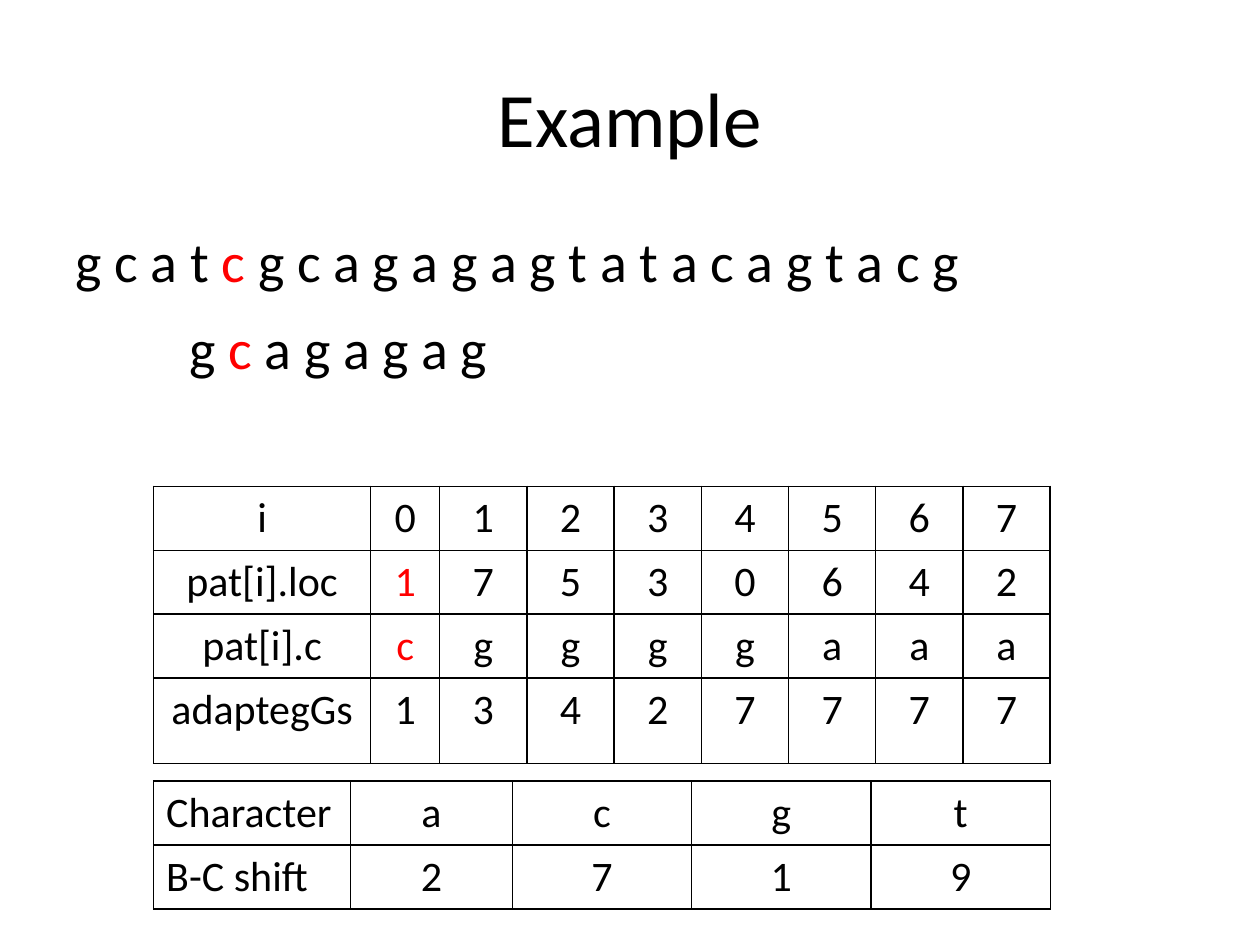
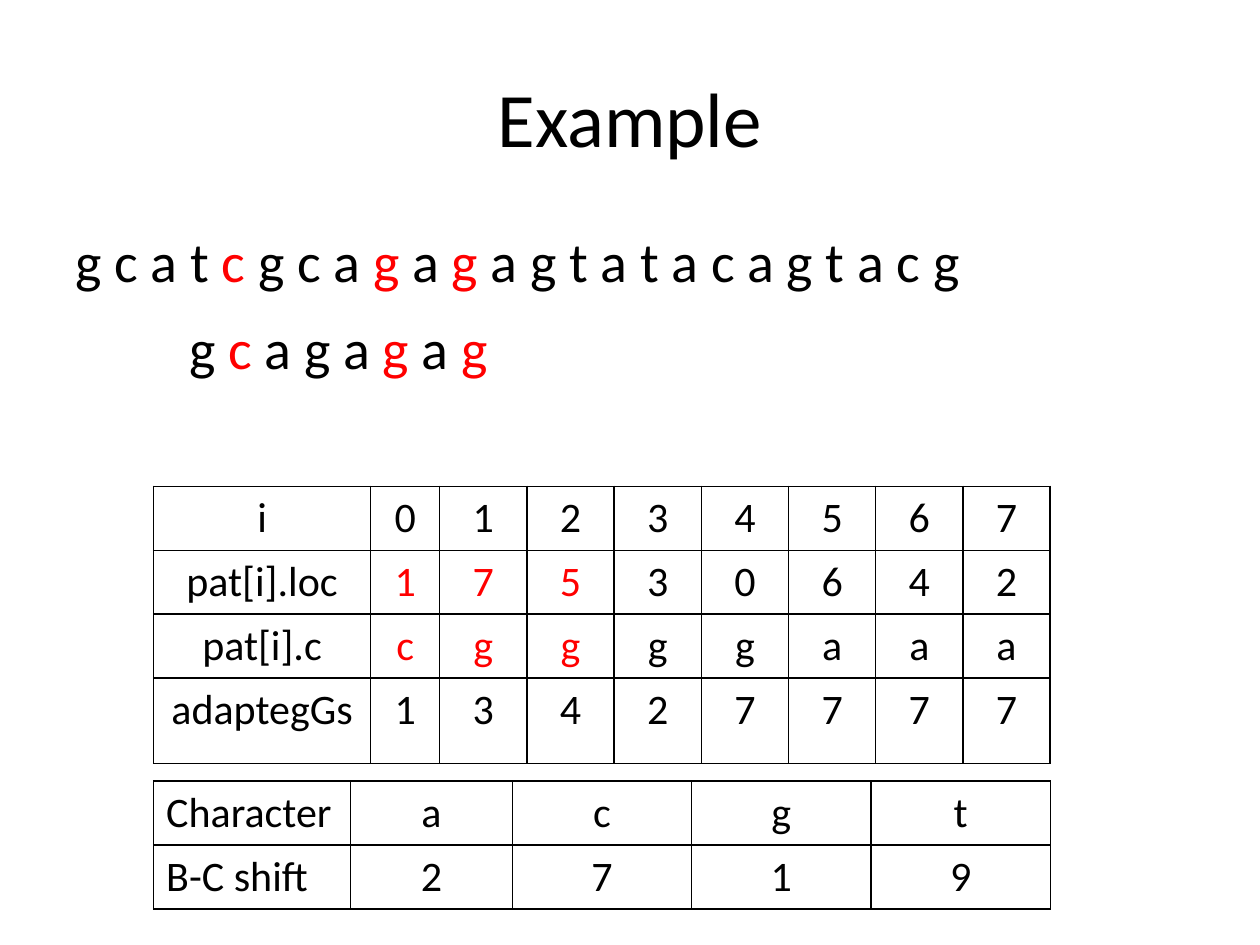
from itertools import groupby

from pptx import Presentation
from pptx.dml.color import RGBColor
from pptx.enum.text import MSO_ANCHOR as Anchor, PP_ALIGN as Align
from pptx.oxml import parse_xml
from pptx.oxml.ns import nsdecls
from pptx.util import Pt

FONT = "Calibri"
BLACK, RED = "000000", "FF0000"

TEXT = "gcatcgcagagagtatacagtacg"
PATTERN = "gcagagag"
SHIFT = 3  # place in TEXT where PATTERN is tried
SCAN_ORDER = [1, 7, 5, 3, 0, 6, 4, 2]
GOOD_SUFFIX = [1, 3, 4, 2, 7, 7, 7, 7]
BAD_CHAR = {"a": 2, "c": 7, "g": 1, "t": 9}

TABLE_LEFT = 87.8
ROW_HEIGHT = 36.5


def rgb(color):
    return RGBColor.from_string(color)


def add_run(p, text, size=24, color=BLACK):
    r = p.add_run()
    r.text = text
    r.font.name = FONT
    r.font.size = Pt(size)
    r.font.color.rgb = rgb(color)


def add_box(s, left, top, width, height, anchor=Anchor.TOP):
    tf = s.shapes.add_textbox(Pt(left), Pt(top), Pt(width), Pt(height)).text_frame
    tf.word_wrap = True
    tf.vertical_anchor = anchor
    return tf


def add_title(s, text):
    p = add_box(s, 36, 21.6, 648, 90, Anchor.MIDDLE).paragraphs[0]
    p.alignment = Align.CENTER
    add_run(p, text, size=44)


def add_letters(p, letters, red):
    """Write spaced letters, with those at the indices in red coloured."""
    def is_red(i):
        return i in red

    for marked, group in groupby(range(len(letters)), is_red):
        spaced = "".join(letters[i] + " " for i in group)
        add_run(p, spaced, size=32, color=RED if marked else BLACK)


def add_alignment(s, matched):
    """Show the text above the pattern, with the compared letters in red."""
    tf = add_box(s, 36, 126, 648, 100)
    add_letters(tf.paragraphs[0], TEXT, [SHIFT + i for i in matched])
    p = tf.add_paragraph()
    p.space_before = Pt(11)
    p._p.get_or_add_pPr().set("marL", str(Pt(65)))
    add_letters(p, PATTERN, matched)


def add_borders(cell):
    tc_pr = cell._tc.get_or_add_tcPr()
    for i, side in enumerate("LRTB"):
        tc_pr.insert(i, parse_xml(
            f'<a:ln{side} {nsdecls("a")} w="{Pt(1)}"><a:solidFill>'
            f'<a:srgbClr val="{BLACK}"/></a:solidFill></a:ln{side}>'))


def add_grid(s, top, rows, widths, heights, red=(), label_align=Align.CENTER):
    """Add a ruled table; red holds the (row, column) pairs to colour."""
    table = s.shapes.add_table(
        len(rows), len(widths), Pt(TABLE_LEFT), Pt(top),
        Pt(sum(widths)), Pt(sum(heights))).table
    table.first_row = table.horz_banding = False
    for column, width in zip(table.columns, widths):
        column.width = Pt(width)
    for r, values in enumerate(rows):
        table.rows[r].height = Pt(heights[r])
        for c, value in enumerate(values):
            cell = table.cell(r, c)
            cell.fill.background()
            add_borders(cell)
            p = cell.text_frame.paragraphs[0]
            p.alignment = Align.CENTER if c else label_align
            add_run(p, str(value), color=RED if (r, c) in red else BLACK)


def add_example(prs, compared):
    """Add a slide after the given number of compared letters."""
    s = prs.slides.add_slide(prs.slide_layouts[6])
    add_title(s, "Example")
    add_alignment(s, SCAN_ORDER[:compared])
    add_grid(
        s, 278,
        [["i", *range(len(PATTERN))],
         ["pat[i].loc", *SCAN_ORDER],
         ["pat[i].c", *(PATTERN[i] for i in SCAN_ORDER)],
         ["adaptegGs", *GOOD_SUFFIX]],
        widths=[124, 39.5] + [49.86] * 7,
        heights=[ROW_HEIGHT] * 3 + [49],
        red=[(r, c) for r in (1, 2) for c in range(1, compared + 1)])
    add_grid(
        s, 446.4,
        [["Character", *BAD_CHAR], ["B-C shift", *BAD_CHAR.values()]],
        widths=[112.5, 92.5] + [102.5] * 3,
        heights=[ROW_HEIGHT] * 2,
        label_align=Align.LEFT)


def main():
    prs = Presentation()
    prs.slide_width, prs.slide_height = Pt(720), Pt(540)
    for compared in (1, 3):
        add_example(prs, compared)
    prs.save("out.pptx")


if __name__ == "__main__":
    main()
